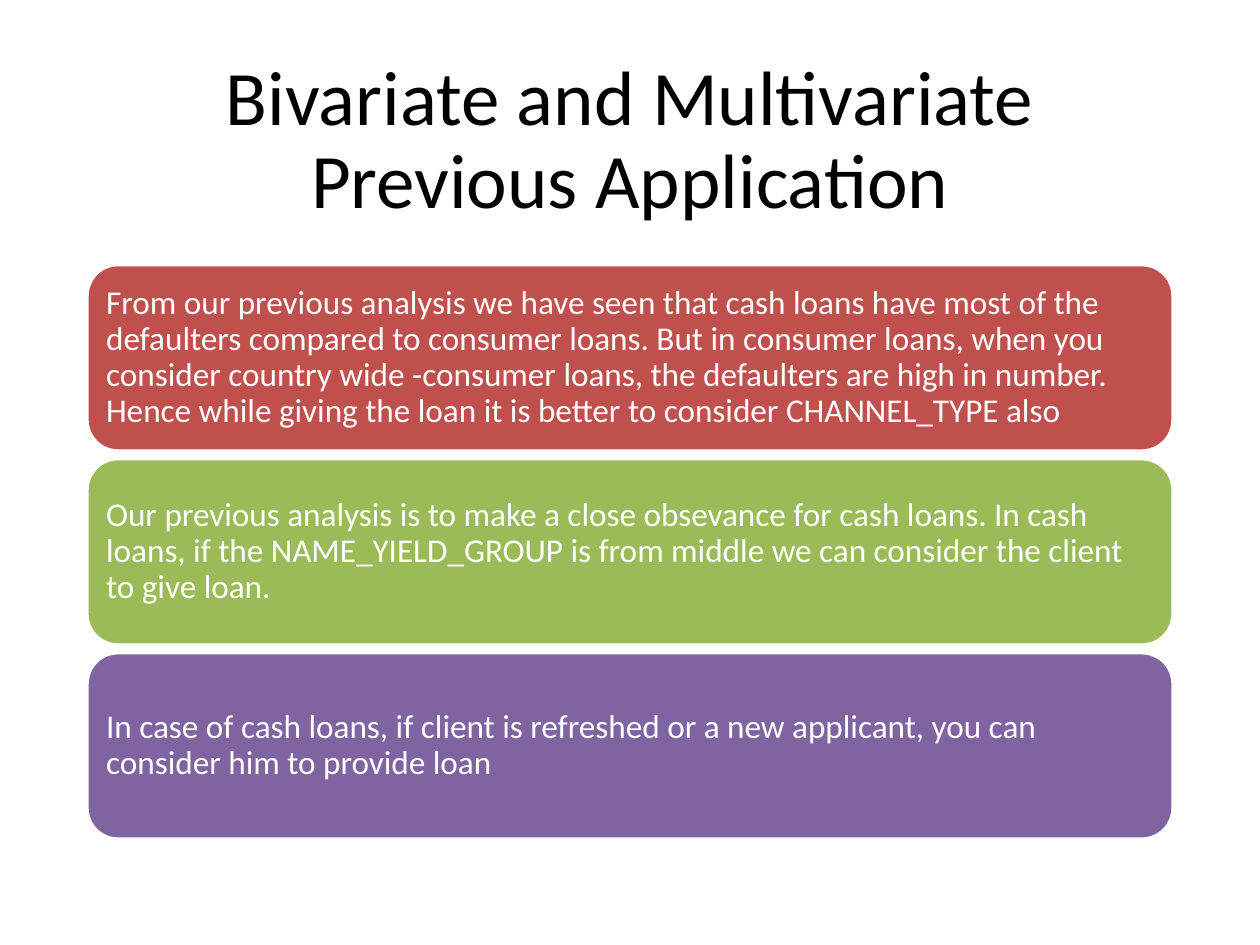
from pptx import Presentation, util as u
from pptx.dml.color import RGBColor
from pptx.enum import shapes, text

NOTES = [
    ("C0504D", "From our previous analysis we have seen that cash loans have most of the "
               "defaulters compared to consumer loans. But in consumer loans, when you "
               "consider country wide -consumer loans, the defaulters are high in number. "
               "Hence while giving the loan it is better to consider CHANNEL_TYPE also"),
    ("9BBB59", "Our previous analysis is to make a close obsevance for cash loans. In cash "
               "loans, if the NAME_YIELD_GROUP is from middle we can consider the client "
               "to give loan."),
    ("8064A2", "In case of cash loans, if client is refreshed or a new applicant, you can "
               "consider him to provide loan"),
]


def tint(code):
    return RGBColor.from_string(code)


def write(frame, words, size, ink, align, inset):
    frame.word_wrap = True
    frame.auto_size = text.MSO_AUTO_SIZE.NONE
    frame.vertical_anchor = text.MSO_ANCHOR.MIDDLE
    frame.margin_left = frame.margin_right = u.Inches(inset)
    frame.margin_top = frame.margin_bottom = u.Inches(inset)
    para = frame.paragraphs[0]
    para.text = words
    para.alignment = align
    para.line_spacing = 0.9
    for run in para.runs:
        run.font.name = "Calibri"
        run.font.size = u.Pt(size)
        run.font.color.rgb = tint(ink)


class Deck:
    """Holds the style and current slide, laid out in one column of equal rows."""

    left, wide = 0.69, 8.62
    top, tall, gap = 2.1, 1.48, 0.06

    def __init__(self):
        self.show = Presentation()
        self.show.slide_width = u.Inches(10)
        self.show.slide_height = u.Inches(7.5)
        self.slide = self.show.slides.add_slide(self.show.slide_layouts[5])

    def box(self, top, tall):
        return [u.Inches(n) for n in (self.left, top, self.wide, tall)]

    def title(self, words):
        head = self.slide.shapes.title
        head.left, head.top, head.width, head.height = self.box(0.4, 1.45)
        write(head.text_frame, words, size=44, ink="000000",
              align=text.PP_ALIGN.CENTER, inset=0.05)

    def card(self, row, fill, words):
        top = self.top + row * (self.tall + self.gap)
        card = self.slide.shapes.add_shape(
            shapes.MSO_SHAPE.ROUNDED_RECTANGLE, *self.box(top, self.tall))
        card.shadow.inherit = False
        card.fill.solid()
        card.fill.fore_color.rgb = tint(fill)
        card.line.color.rgb = tint("FFFFFF")
        card.line.width = u.Pt(2)
        write(card.text_frame, words, size=19, ink="FFFFFF",
              align=text.PP_ALIGN.LEFT, inset=0.08)


def main():
    deck = Deck()
    deck.title("Bivariate and Multivariate\nPrevious Application")
    for row, (fill, words) in enumerate(NOTES):
        deck.card(row, fill, words)
    deck.show.save("out.pptx")


if __name__ == "__main__":
    main()
